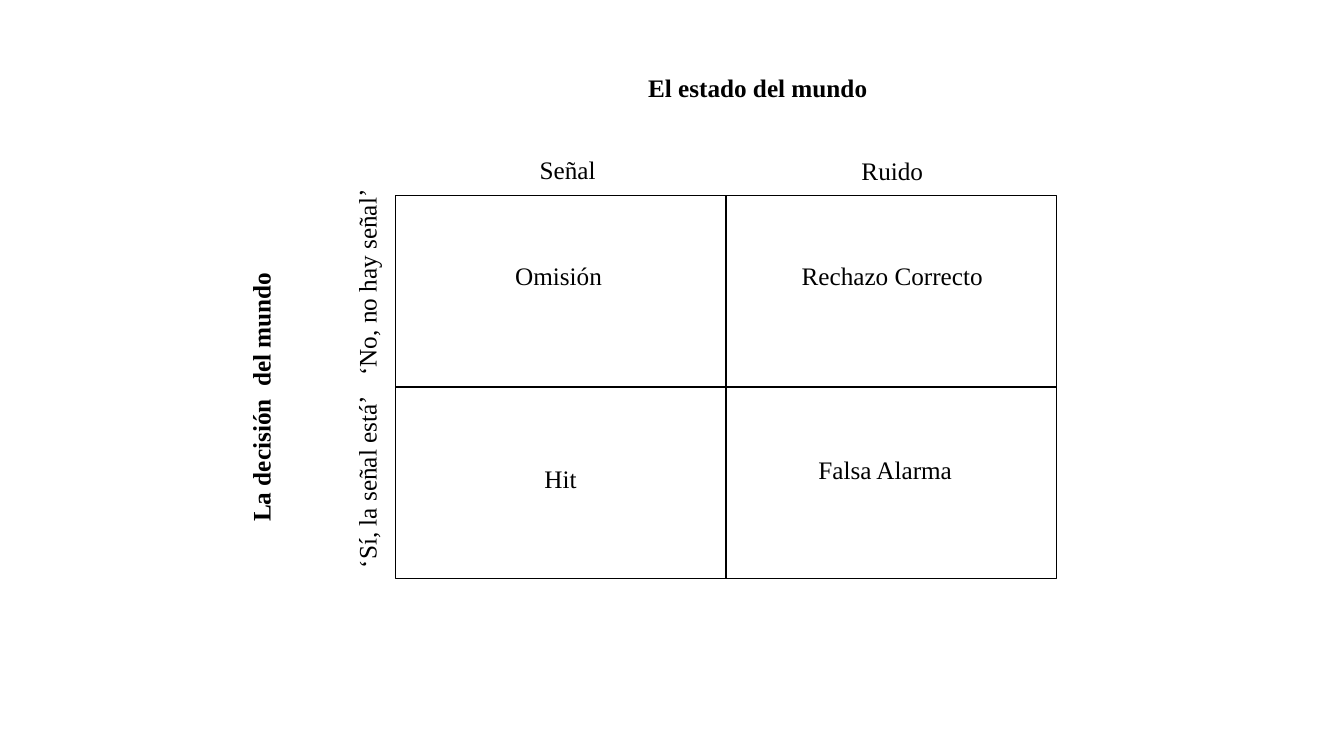
import dataclasses

import pptx
import pptx.dml.color
import pptx.enum.shapes
import pptx.enum.text
import pptx.util

Inches = pptx.util.Inches
Align = pptx.enum.text.PP_ALIGN


@dataclasses.dataclass(frozen=True)
class Theme:
    """Colours, font and sizes of the slide."""
    ink: str = "000000"
    paper: str = "FFFFFF"
    font: str = "Times New Roman"
    text_size: float = 18
    line_width: float = 1


def color(code):
    """Turn a hex code into a colour."""
    return pptx.dml.color.RGBColor.from_string(code)


def write_text(shape, text, theme, bold=False, align=Align.CENTER):
    """Put one formatted paragraph into a shape."""
    frame = shape.text_frame
    frame.word_wrap = True
    frame.auto_size = pptx.enum.text.MSO_AUTO_SIZE.SHAPE_TO_FIT_TEXT
    frame.vertical_anchor = pptx.enum.text.MSO_ANCHOR.TOP
    paragraph = frame.paragraphs[0]
    paragraph.alignment = align
    paragraph.line_spacing = 1.0
    paragraph.space_before = pptx.util.Pt(0)
    run = paragraph.add_run()
    run.text = text
    run.font.name = theme.font
    run.font.size = pptx.util.Pt(theme.text_size)
    run.font.bold = bold
    run.font.color.rgb = color(theme.ink)


class SlideBuilder:
    """Draws styled elements on the current slide."""

    def __init__(self, slide, theme):
        """Keep the slide and its style."""
        self.slide = slide
        self.theme = theme

    def title(self, text, left, top, width, height):
        """Move and fill the title placeholder."""
        shape = self.slide.shapes.title
        shape.left, shape.top = Inches(left), Inches(top)
        shape.width, shape.height = Inches(width), Inches(height)
        write_text(shape, text, self.theme, bold=True)

    def cell(self, left, top, width, height):
        """Draw one outlined cell of the matrix."""
        shape = self.slide.shapes.add_shape(
            pptx.enum.shapes.MSO_SHAPE.RECTANGLE,
            Inches(left), Inches(top), Inches(width), Inches(height))
        shape.shadow.inherit = False
        shape.fill.solid()
        shape.fill.fore_color.rgb = color(self.theme.paper)
        shape.line.color.rgb = color(self.theme.ink)
        shape.line.width = pptx.util.Pt(self.theme.line_width)

    def label(self, text, left, top, width, height, rotation=0, **text_format):
        """Add a text box, turned if asked."""
        shape = self.slide.shapes.add_textbox(
            Inches(left), Inches(top), Inches(width), Inches(height))
        shape.rotation = rotation
        write_text(shape, text, self.theme, **text_format)


LABEL_HEIGHT = 0.4
AXIS_WIDTH = 3.91
COLUMN_WIDTH = 2.7
OUTCOME_WIDTH = 2.96
UPWARD = 270
MATRIX_LEFT, MATRIX_TOP = 3.92, 1.94
CELL_WIDTH, CELL_HEIGHT = 3.28, 1.9

COLUMN_LABELS = [("Señal", 4.28, 1.48), ("Ruido", 7.5, 1.49)]
ROW_LABELS = [("‘Sí, la señal está’", 2.64, 4.54, 1.99),
              ("‘No, no hay señal’", 2.61, 2.6, 2.05)]
OUTCOMES = [("Hit", 4.08, 4.55), ("Omisión", 4.06, 2.53),
            ("Falsa Alarma", 7.3, 4.46), ("Rechazo Correcto", 7.37, 2.53)]


def main():
    """Build the signal detection matrix and save it."""
    presentation = pptx.Presentation()
    presentation.slide_width = Inches(13.33)
    presentation.slide_height = Inches(7.5)
    slide = presentation.slides.add_slide(presentation.slide_layouts[5])
    builder = SlideBuilder(slide, Theme())

    for row in range(2):
        for column in range(2):
            builder.cell(MATRIX_LEFT + column * CELL_WIDTH,
                         MATRIX_TOP + row * CELL_HEIGHT,
                         CELL_WIDTH, CELL_HEIGHT)

    builder.title("El estado del mundo", 5.56, 0.67, AXIS_WIDTH, LABEL_HEIGHT)
    builder.label("La decisión  del mundo", 0.63, 3.74, AXIS_WIDTH,
                  LABEL_HEIGHT, rotation=UPWARD, bold=True)
    for text, left, top in COLUMN_LABELS:
        builder.label(text, left, top, COLUMN_WIDTH, LABEL_HEIGHT)
    for text, left, top, width in ROW_LABELS:
        builder.label(text, left, top, width, LABEL_HEIGHT,
                      rotation=UPWARD, align=Align.LEFT)
    for text, left, top in OUTCOMES:
        builder.label(text, left, top, OUTCOME_WIDTH, LABEL_HEIGHT)

    presentation.save("out.pptx")


main()
